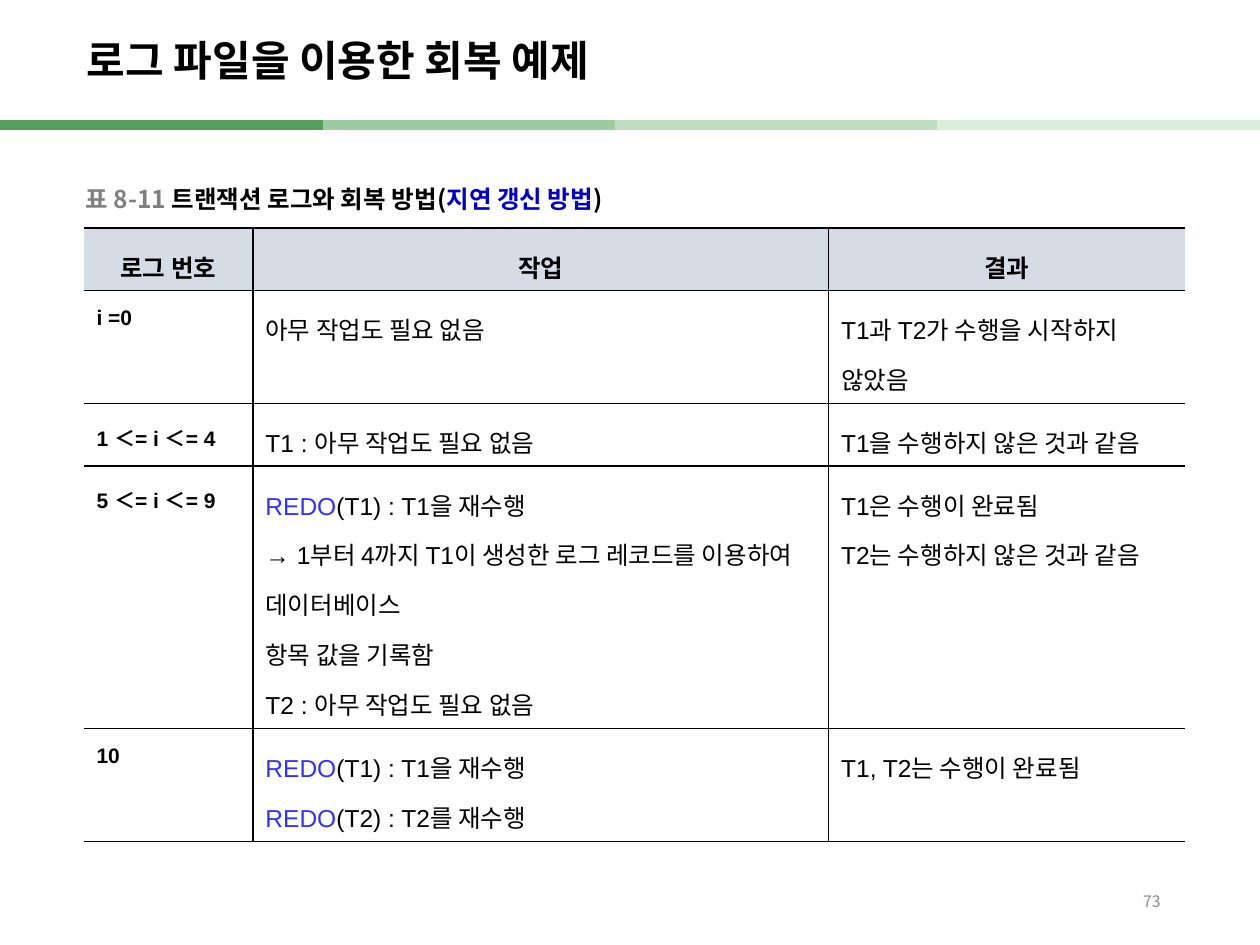
from dataclasses import dataclass

from lxml.etree import SubElement
from pptx import Presentation
from pptx.dml.color import RGBColor
from pptx.enum.shapes import MSO_CONNECTOR as Connector
from pptx.enum.text import MSO_ANCHOR as Anchor, MSO_AUTO_SIZE as AutoSize, PP_ALIGN as Align
from pptx.oxml.ns import qn
from pptx.util import Pt


@dataclass(frozen=True)
class Theme:
    hangul: str = "Noto Sans CJK KR"
    latin: str = "Arial"
    ink: str = "000000"
    muted: str = "808080"
    page_ink: str = "8C8C8C"
    emphasis: str = "0000CC"
    keyword: str = "3333FF"
    header_fill: str = "D6DCE5"
    body_fill: str = "FFFFFF"
    stripes: tuple = ("559E5B", "9DCBA0", "C0DEC2", "DCECDD")
    title_size: int = 24
    text_size: int = 14
    log_size: int = 12
    page_size: int = 9


THEME = Theme()
SLIDE_WIDTH, SLIDE_HEIGHT = 720, 540
COLUMN_WIDTHS = (96.5, 329, 203.8)
LINE_HEIGHT, CELL_PADDING = 28.6, 7.2
KEYWORD = "REDO"

HEADINGS = ("로그 번호", "작업", "결과")
LOG_ROWS = (
    (2, "i =0", ["아무 작업도 필요 없음"], ["T1과 T2가 수행을 시작하지 않았음"]),
    (1, "1 ＜= i ＜= 4", ["T1 : 아무 작업도 필요 없음"], ["T1을 수행하지 않은 것과 같음"]),
    (5, "5 ＜= i ＜= 9",
     ["REDO(T1) : T1을 재수행",
      "→ 1부터 4까지 T1이 생성한 로그 레코드를 이용하여 데이터베이스",
      "항목 값을 기록함",
      "T2 : 아무 작업도 필요 없음"],
     ["T1은 수행이 완료됨", "T2는 수행하지 않은 것과 같음"]),
    (2, "10", ["REDO(T1) : T1을 재수행", "REDO(T2) : T2를 재수행"], ["T1, T2는 수행이 완료됨"]),
)


def format_run(run, size, color, bold=False, latin=THEME.hangul):
    run.font.size = Pt(size)
    run.font.bold = bold
    run.font.name = latin
    run.font.color.rgb = RGBColor.from_string(color)
    SubElement(run.font._element, qn("a:ea"), typeface=THEME.hangul)


def add_text(paragraph, text, *style):
    run = paragraph.add_run()
    run.text = text
    format_run(run, *style)


def add_stripes(slide, left, top, width):
    step = width * 0.256
    starts = [0, width * 0.232, width * 0.488, width * 0.744]
    stripes = list(zip(starts, THEME.stripes))
    for start, color in stripes[1:] + stripes[:1]:
        stripe = slide.shapes.add_connector(
            Connector.STRAIGHT, Pt(left + start), Pt(top), Pt(left + start + step), Pt(top))
        stripe.line.color.rgb = RGBColor.from_string(color)
        stripe.line.width = Pt(6)
        SubElement(stripe._element.spPr, qn("a:effectLst"))


def place_title(slide, left, top, width, height):
    title = slide.shapes.title
    title.left, title.top, title.width, title.height = map(Pt, (left, top, width, height))
    frame = title.text_frame
    frame.text = "로그 파일을 이용한 회복 예제"
    frame.auto_size = AutoSize.NONE
    frame.vertical_anchor = Anchor.MIDDLE
    heading = frame.paragraphs[0]
    heading.alignment = Align.LEFT
    heading.line_spacing = 0.9
    format_run(heading.runs[0], THEME.title_size, THEME.ink, True)


def add_line(slide, left, top, width, height, parts, alignment, wrap):
    frame = slide.shapes.add_textbox(Pt(left), Pt(top), Pt(width), Pt(height)).text_frame
    frame.word_wrap = wrap
    frame.vertical_anchor = Anchor.MIDDLE
    frame.paragraphs[0].alignment = alignment
    for part in parts:
        add_text(frame.paragraphs[0], *part)


def add_caption(slide, left, top, width, height):
    parts = (("표 8-11 ", THEME.muted), ("트랜잭션 로그와 회복 방법(", THEME.ink),
             ("지연 갱신 방법", THEME.emphasis), (")", THEME.ink))
    styled = [(text, THEME.text_size, color, True) for text, color in parts]
    add_line(slide, left, top, width, height, styled, Align.LEFT, False)


def add_page_number(slide, left, top, width, height):
    number = [("73", THEME.page_size, THEME.page_ink)]
    add_line(slide, left, top, width, height, number, Align.RIGHT, True)


def style_cell(cell, fill, sides):
    properties = cell._tc.get_or_add_tcPr()
    for side in "LRTB":
        border = SubElement(properties, qn(f"a:ln{side}"), w=str(Pt(1)))
        if side in sides:
            line_fill = SubElement(border, qn("a:solidFill"))
            SubElement(line_fill, qn("a:srgbClr"), val=THEME.ink)
        else:
            SubElement(border, qn("a:noFill"))
    cell.fill.solid()
    cell.fill.fore_color.rgb = RGBColor.from_string(fill)


def fill_cell(cell, lines, size, bold, alignment):
    frame = cell.text_frame
    for index, line in enumerate(lines):
        paragraph = frame.add_paragraph() if index else frame.paragraphs[0]
        paragraph.alignment = alignment
        paragraph.line_spacing = 1.4
        if line.startswith(KEYWORD):
            add_text(paragraph, KEYWORD, size, THEME.keyword, bold, THEME.latin)
        add_text(paragraph, line.removeprefix(KEYWORD), size, THEME.ink, bold, THEME.latin)


def add_recovery_table(slide, left, top):
    line_counts = [1] + [row[0] for row in LOG_ROWS]
    heights = [CELL_PADDING + LINE_HEIGHT * count for count in line_counts]
    recovery = slide.shapes.add_table(
        len(heights), len(COLUMN_WIDTHS), Pt(left), Pt(top),
        Pt(sum(COLUMN_WIDTHS)), Pt(sum(heights))).table
    recovery.first_row = recovery.horz_banding = False
    for column, width in zip(recovery.columns, COLUMN_WIDTHS):
        column.width = Pt(width)
    for row, height in zip(recovery.rows, heights):
        row.height = Pt(height)

    contents = [[[heading] for heading in HEADINGS]]
    contents += [([log], work, result) for _, log, work, result in LOG_ROWS]
    column_sides = ("RTB", "LRTB", "LTB")
    for row_index, row in enumerate(contents):
        is_header = row_index == 0
        for column_index, lines in enumerate(row):
            cell = recovery.cell(row_index, column_index)
            is_log = column_index == 0 and not is_header
            style_cell(cell, THEME.header_fill if is_header else THEME.body_fill,
                       column_sides[column_index])
            cell.vertical_anchor = Anchor.MIDDLE if is_header else Anchor.TOP
            fill_cell(cell, lines, THEME.log_size if is_log else THEME.text_size,
                      is_header or is_log, Align.CENTER if is_header else Align.LEFT)


def main():
    deck = Presentation()
    deck.slide_width, deck.slide_height = Pt(SLIDE_WIDTH), Pt(SLIDE_HEIGHT)
    slide = deck.slides.add_slide(deck.slide_layouts[5])
    add_stripes(slide, 0, 71.3, SLIDE_WIDTH)
    place_title(slide, 42.5, 14.4, 595.4, 43.2)
    add_recovery_table(slide, 48, 130.3)
    add_caption(slide, 41.8, 102.2, 330, 22.3)
    add_page_number(slide, 508.3, 500.4, 162, 28.8)
    deck.save("out.pptx")


if __name__ == "__main__":
    main()
